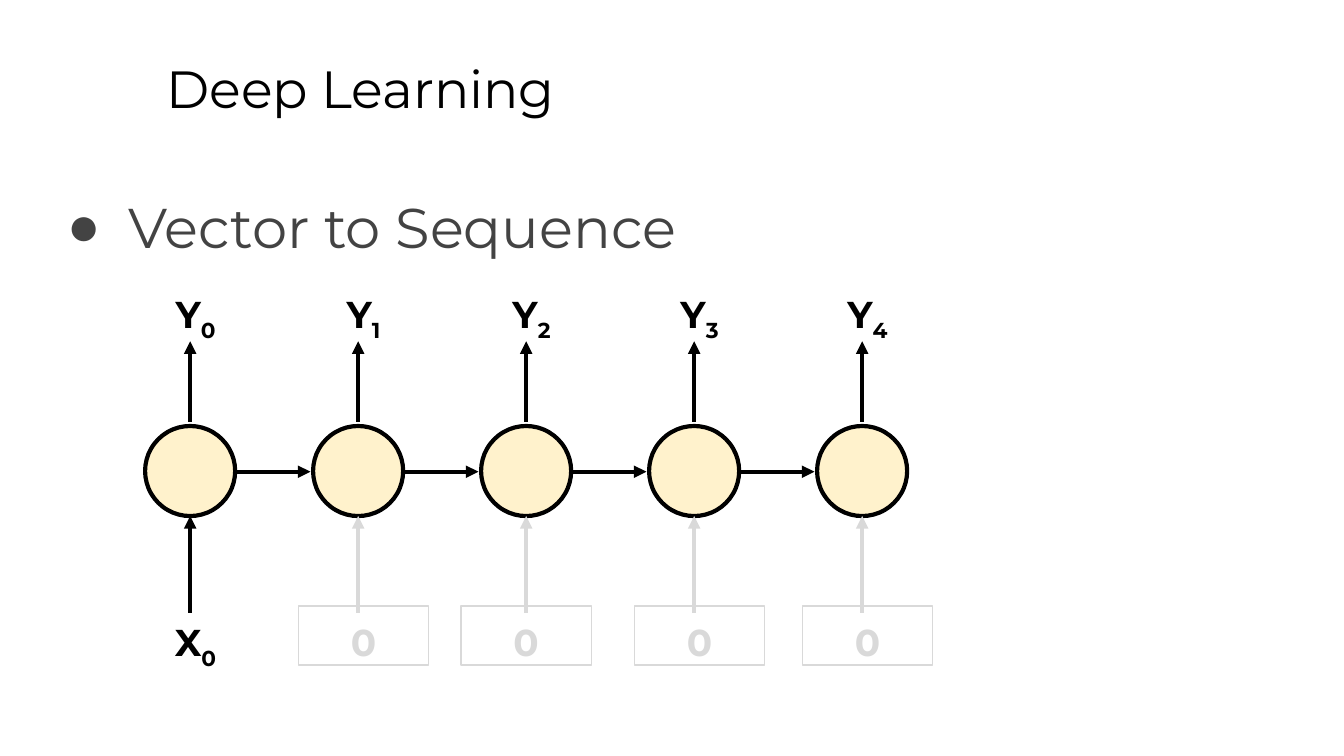
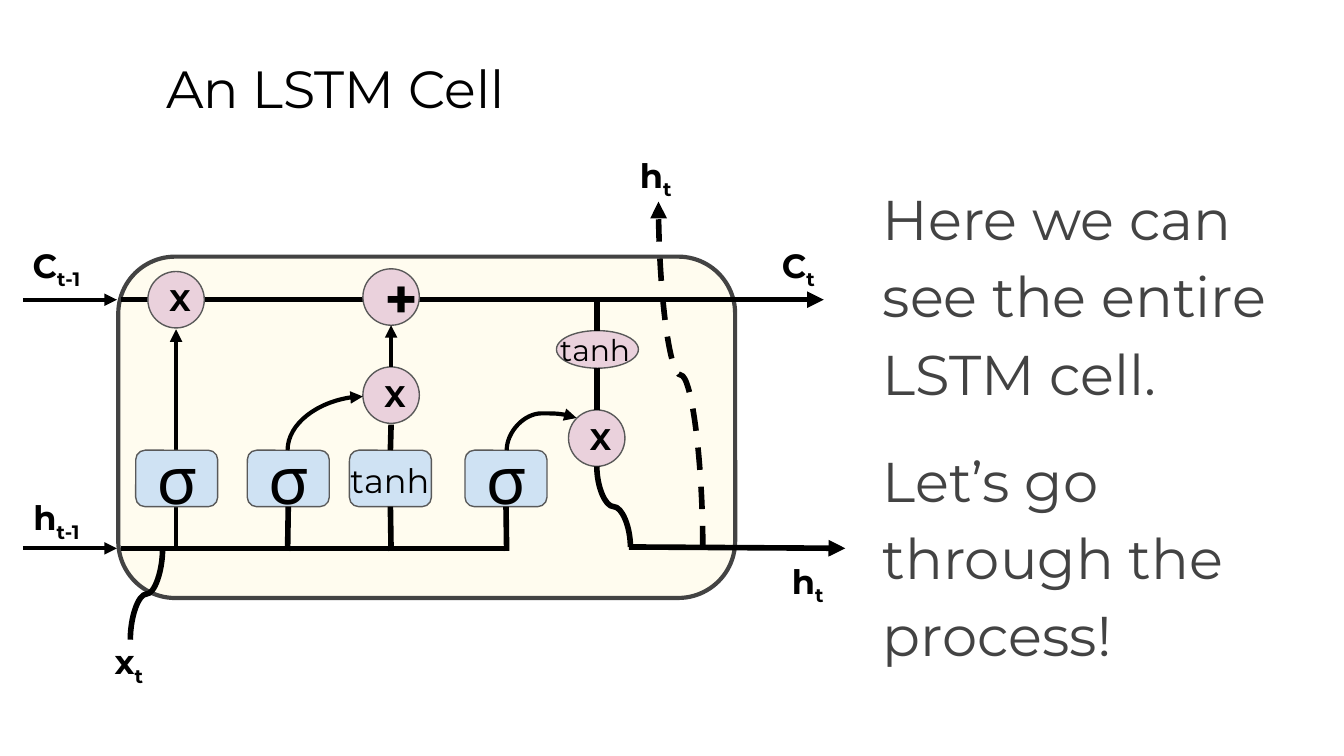
from dataclasses import dataclass
from typing import NamedTuple

from lxml.etree import SubElement
from pptx import Presentation
from pptx.dml.color import RGBColor as Color
from pptx.enum.dml import MSO_LINE as Dash
from pptx.enum.shapes import MSO_CONNECTOR as Link, MSO_SHAPE as Form
from pptx.enum.text import MSO_ANCHOR as Anchor, PP_ALIGN as Align
from pptx.oxml.ns import qn
from pptx.util import Inches, Pt


@dataclass(frozen=True)
class Theme:
    font: str = "Montserrat"
    bullet: str = "Arial"
    black: str = "000000"
    dark: str = "434343"
    edge: str = "595959"
    pale: str = "D9D9D9"
    node: str = "FFF2CC"
    cell: str = "FFFCEF"
    blue: str = "CFE2F3"
    pink: str = "EAD1DC"
    title: int = 28
    body: int = 30
    label: int = 20
    tag: int = 18
    small: int = 16
    sigma: int = 35
    thin: float = 0.75
    mid: float = 2.25
    thick: float = 3


THEME = Theme()


class Box(NamedTuple):
    left: float
    top: float
    width: float
    height: float


class Style(NamedTuple):
    form: Form
    fill: str | None
    line: str
    weight: float


class Text(NamedTuple):
    word: str
    size: int
    sub: str = ""
    bold: bool = False
    color: str = THEME.black
    align: Align = Align.LEFT


class Wire(NamedTuple):
    x1: float
    y1: float
    x2: float
    y2: float
    weight: float = THEME.thick
    arrow: bool = False
    color: str = THEME.black


class Curve(NamedTuple):
    wire: Wire
    bend: str = "curvedConnector3"
    adjust: int = 50000
    dashed: bool = False


class Part(NamedTuple):
    box: Box
    style: Style
    text: Text | None = None


NODE = Style(Form.OVAL, THEME.node, THEME.black, THEME.mid)
ZERO = Style(Form.RECTANGLE, None, THEME.pale, THEME.thin)
CELL = Style(Form.ROUNDED_RECTANGLE, THEME.cell, THEME.dark, THEME.mid)
GATE = Style(Form.ROUNDED_RECTANGLE, THEME.blue, THEME.edge, THEME.thin)
DOT = Style(Form.OVAL, THEME.pink, THEME.edge, THEME.thin)


def write(shape, texts: list[Text], anchor: Anchor = Anchor.TOP) -> None:
    frame = shape.text_frame
    look = {"word_wrap": True, "vertical_anchor": anchor}
    look |= {f"margin_{side}": Inches(0.1) for side in ("left", "top", "right", "bottom")}
    for key, value in look.items():
        setattr(frame, key, value)
    for index, text in enumerate(texts):
        para = frame.add_paragraph() if index else frame.paragraphs[0]
        para.alignment = text.align
        for part in filter(None, (text.word, text.sub)):
            run = para.add_run()
            run.text = part
            face = {"name": THEME.font, "size": Pt(text.size), "bold": text.bold}
            for key, value in face.items():
                setattr(run.font, key, value)
            run.font.color.rgb = Color.from_string(text.color)
        if text.sub:
            run._r.get_or_add_rPr().set("baseline", "-25000")


def note(slide, box: Box, *texts: Text):
    shape = slide.shapes.add_textbox(*map(Inches, box))
    write(shape, list(texts))
    return shape


def draw(slide, part: Part, anchor: Anchor = Anchor.MIDDLE):
    style = part.style
    shape = slide.shapes.add_shape(style.form, *map(Inches, part.box))
    shape.shadow.inherit = False
    if style.fill:
        shape.fill.solid()
        shape.fill.fore_color.rgb = Color.from_string(style.fill)
    else:
        shape.fill.background()
    shape.line.color.rgb = Color.from_string(style.line)
    shape.line.width = Pt(style.weight)
    if part.text:
        write(shape, [part.text], anchor)
    return shape


def ink(link, wire: Wire, dashed: bool = False) -> None:
    link.line.color.rgb = Color.from_string(wire.color)
    link.line.width = Pt(wire.weight)
    if dashed:
        link.line.dash_style = Dash.DASH
    frame = link._element.spPr
    if wire.arrow:
        SubElement(frame.find(qn("a:ln")), qn("a:tailEnd"), type="triangle")
    SubElement(frame, qn("a:effectLst"))


def join(slide, wire: Wire):
    ends = map(Inches, wire[:4])
    link = slide.shapes.add_connector(Link.STRAIGHT, *ends)
    ink(link, wire)
    return link


def bend(slide, curve: Curve) -> None:
    x1, y1, x2, y2 = curve.wire[:4]
    wide, high = abs(y2 - y1), abs(x2 - x1)
    left, top = (x1 + x2 - wide) / 2, (y1 + y2 - high) / 2
    start, stop = left, left + wide
    if (x2 > x1) == (y2 > y1):
        start, stop = stop, start
    ends = map(Inches, (start, top, stop, top + high))
    link = slide.shapes.add_connector(Link.CURVE, *ends)
    frame = link._element.spPr
    frame.find(qn("a:xfrm")).set("rot", str((270 if x2 > x1 else 90) * 60000))
    shape = frame.find(qn("a:prstGeom"))
    shape.set("prst", curve.bend)
    if curve.adjust != 50000:
        SubElement(shape.find(qn("a:avLst")), qn("a:gd"), name="adj1", fmla=f"val {curve.adjust}")
    ink(link, curve.wire, curve.dashed)


def start(deck, title: str):
    slide = deck.slides.add_slide(deck.slide_layouts[6])
    note(slide, Box(1.14, 0.32, 8.52, 0.63), Text(title, THEME.title))
    return slide


def body(slide, box: Box, *words: str):
    shape = note(slide, box, *(Text(word, THEME.body, color=THEME.dark) for word in words))
    for para in shape.text_frame.paragraphs:
        para.line_spacing = 1.15
    return shape.text_frame.paragraphs


def chain(deck) -> None:
    slide = start(deck, "Deep Learning")
    para = body(slide, Box(0.36, 1.26, 9.52, 0.77), "Vector to Sequence")[0]
    props = para._p.get_or_add_pPr()
    for key, value in {"marL": 0.5, "indent": -0.46}.items():
        props.set(key, str(Inches(value)))
    SubElement(SubElement(props, qn("a:buClr")), qn("a:srgbClr"), val=THEME.dark)
    SubElement(props, qn("a:buFont"), typeface=THEME.bullet)
    SubElement(props, qn("a:buChar"), char="●")

    step, size, count = 1.25, 0.67, 5
    zeros = (None, 2.22, 3.43, 4.72, 5.97)
    for index, zero in enumerate(zeros):
        left = 1.08 + step * index
        mid, right = left + size / 2, left + size
        draw(slide, Part(Box(left, 3.17, size, size), NODE))
        join(slide, Wire(mid, 3.14, mid, 2.54, THEME.mid, True))
        tone = THEME.pale if zero else THEME.black
        join(slide, Wire(mid, 4.56, mid, 3.84, THEME.mid, True, tone))
        spot = Box(0.97 + step * index, 2.07, 0.97, 0.44)
        mark = Text("Y", THEME.label, str(index), True, align=Align.CENTER)
        note(slide, spot, mark)
        if zero:
            blank = mark._replace(word="0", sub="", color=tone)
            draw(slide, Part(Box(zero, 4.51, 0.97, 0.44), ZERO, blank), Anchor.TOP)
        else:
            note(slide, spot._replace(top=4.51), mark._replace(word="X"))
        if index < count - 1:
            join(slide, Wire(right, 3.51, right + 0.56, 3.51, THEME.mid, True))


def cell(deck) -> None:
    slide = start(deck, "An LSTM Cell")
    draw(slide, Part(Box(0.88, 1.91, 4.59, 2.54), CELL))
    for wire in (
        Wire(0.17, 2.23, 0.87, 2.23, THEME.mid, True),
        Wire(0.17, 4.08, 0.87, 4.08, THEME.mid, True),
        Wire(0.9, 2.23, 6.13, 2.23, arrow=True),
        Wire(4.68, 4.07, 6.29, 4.08, arrow=True),
        Wire(0.9, 4.08, 1.31, 4.08),
        Wire(1.31, 4.07, 1.31, 2.45, THEME.mid, True),
    ):
        join(slide, wire)

    sigma = Text("σ", THEME.sigma, align=Align.CENTER)
    gates = [
        draw(slide, Part(Box(left, 3.35, 0.61, 0.42), GATE, text))
        for left, text in ((1.01, sigma), (1.84, sigma), (2.6, None), (3.46, sigma))
    ]
    times = Text("X", THEME.small, bold=True)
    plus = Text("+", THEME.body, bold=True)
    for left, top, text in ((1.1, 2.02, times), (2.7, 2.73, times), (2.7, 2, plus), (4.23, 3.05, times)):
        draw(slide, Part(Box(left, top, 0.42, 0.42), DOT, text))
    draw(slide, Part(Box(4.14, 2.46, 0.61, 0.28), DOT))

    for gate, mid in zip(gates[1:], (2.14, 2.91, 3.77)):
        join(slide, Wire(mid, 4.1, mid, 3.77)).end_connect(gate, 2)
    join(slide, Wire(2.91, 3.35, 2.91, 3.16)).begin_connect(gates[2], 0)
    for wire in (
        Wire(2.91, 2.73, 2.91, 2.42, THEME.mid, True),
        Wire(4.44, 3.05, 4.44, 2.74),
        Wire(4.44, 2.46, 4.44, 2.23),
        Wire(1.31, 4.08, 3.75, 4.08),
    ):
        join(slide, wire)
    for curve in (
        Curve(Wire(5.23, 4.08, 4.9, 1.5, arrow=True), dashed=True),
        Curve(Wire(0.97, 4.76, 1.21, 4.08)),
        Curve(Wire(2.14, 3.35, 2.7, 2.95, THEME.mid, True), "curvedConnector2"),
        Curve(Wire(3.77, 3.35, 4.29, 3.11, THEME.mid, True), adjust=114400),
        Curve(Wire(4.44, 3.47, 4.69, 4.07)),
    ):
        bend(slide, curve)

    for left, top, size in ((2.51, 3.32, THEME.tag), (4.07, 2.37, THEME.small)):
        note(slide, Box(left, top, 0.83, 0.42), Text("tanh", size))
    for left, top, word, sub in (
        (0.07, 3.6, "h", "t-1"),
        (0.07, 1.72, "C", "t-1"),
        (5.59, 1.72, "C", "t"),
        (5.66, 4.07, "h", "t"),
        (4.53, 1.05, "h", "t"),
        (0.61, 4.67, "x", "t"),
    ):
        note(slide, Box(left, top, 0.7, 0.45), Text(word, THEME.tag, sub, True, align=Align.CENTER))

    paras = body(
        slide,
        Box(6.47, 1.2, 3.53, 3.8),
        "Here we can see the entire LSTM cell.",
        "Let’s go through the process!",
    )
    for key in ("space_before", "space_after"):
        setattr(paras[1], key, Pt(16))


def main() -> None:
    deck = Presentation()
    deck.slide_width, deck.slide_height = Inches(10), Inches(10) * 9 // 16
    chain(deck)
    cell(deck)
    deck.save("out.pptx")


if __name__ == "__main__":
    main()
